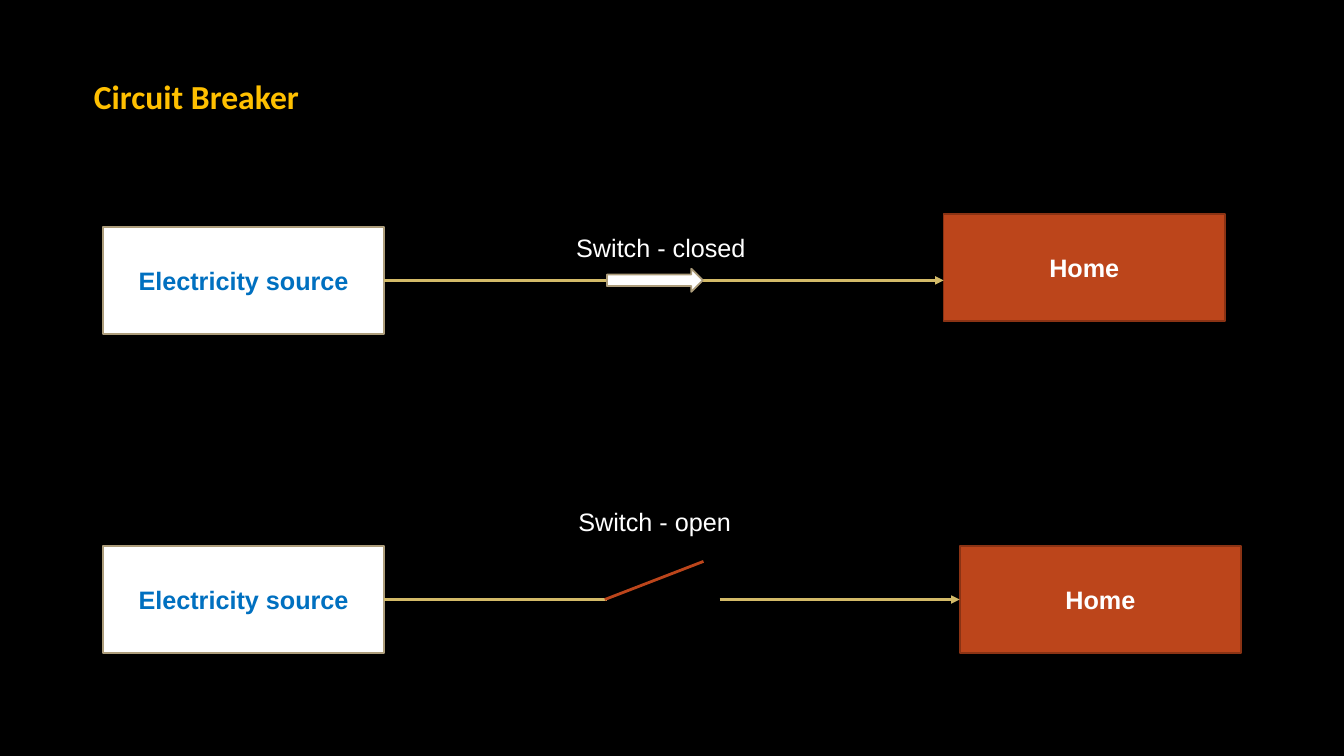
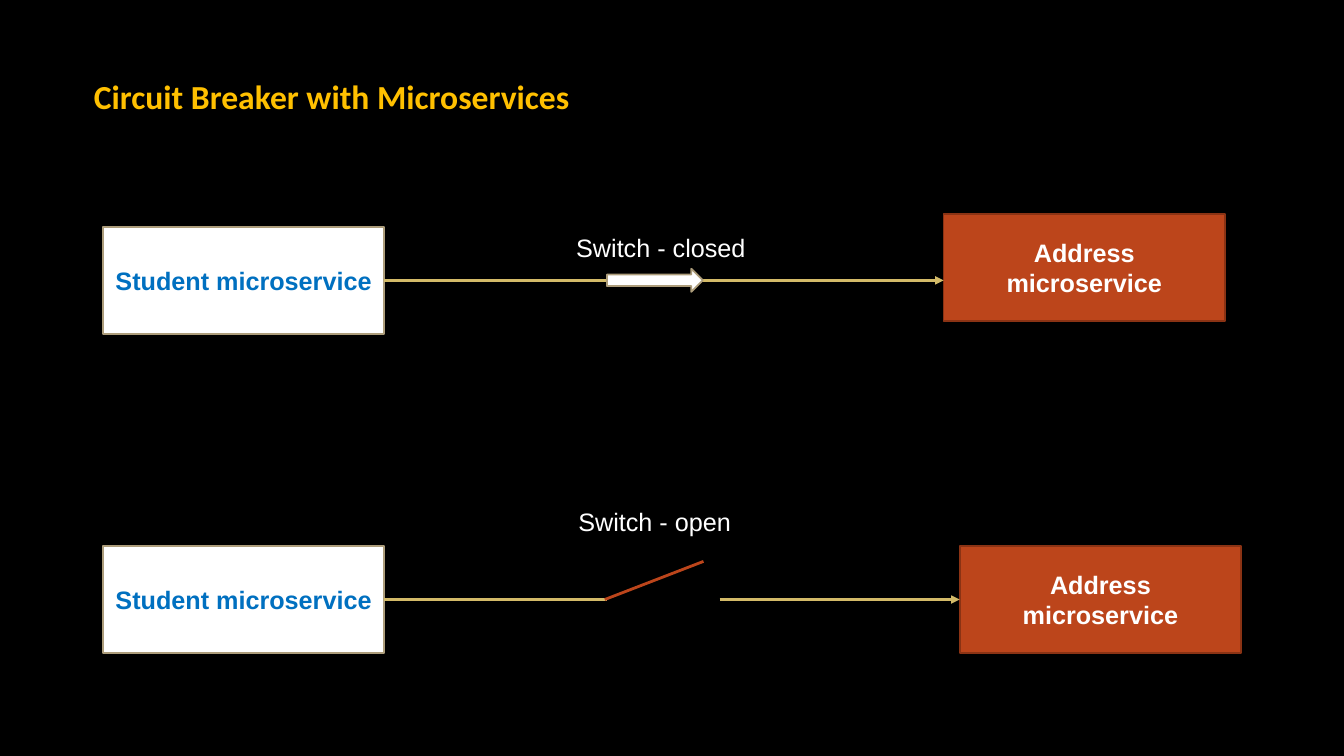
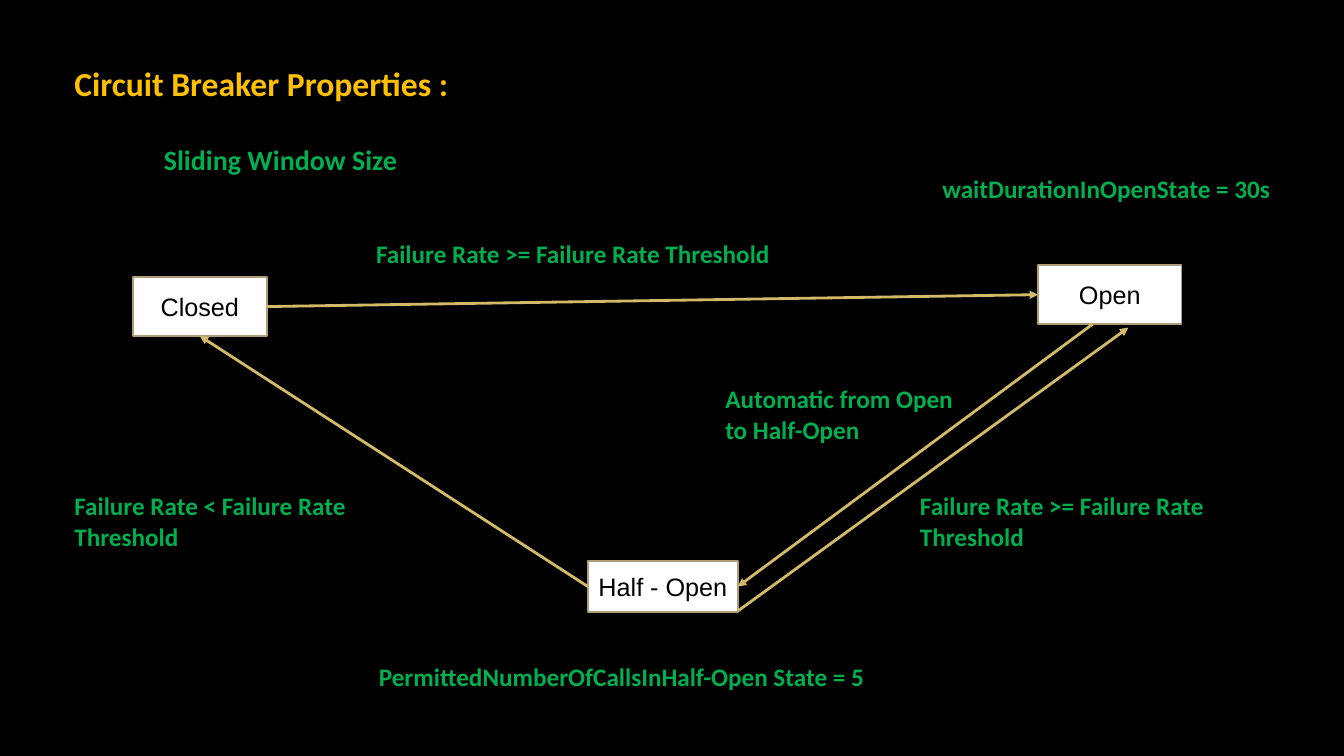
from lxml.etree import SubElement
from pptx import Presentation
from pptx.dml.color import RGBColor as RGB
from pptx.enum.shapes import MSO_CONNECTOR as Conn, MSO_SHAPE as Kind
from pptx.enum.text import MSO_ANCHOR as Anchor, MSO_AUTO_SIZE as Fit, PP_ALIGN as Align
from pptx.oxml.ns import qn
from pptx.shapes.autoshape import Shape
from pptx.util import Pt


class Theme:
    black, white = "000000", "FFFFFF"
    gold, blue, green = "FFC000", "0070C0", "00B050"
    wire, tan, rust, dark = "D3BA68", "AD9D7B", "BC451B", "8B3314"
    edge, stroke = 1.25, 2
    # font, size, colour, bold
    title = ("Calibri", 24, gold, True)
    head = ("Calibri", 20, green, True)
    note = ("Calibri", 18, green, True)
    label = ("Arial", 18, white, False)
    state = ("Arial", 18, black, False)
    source = ("Arial", 18, blue, True)
    target = ("Arial", 18, white, True)
    # fill, outline
    light = (white, tan)
    warm = (rust, dark)


TOP, LEFT, BOTTOM, RIGHT = range(4)

# title, source, target
CIRCUITS = [
    ("Circuit Breaker", "Electricity source", "Home"),
    ("Circuit Breaker with Microservices", "Student microservice", "Address microservice"),
]
BOX = (201, 76.5)

STATES = {
    "Closed": (95, 198, 95.5, 42),
    "Open": (741.5, 189.5, 102.5, 42),
    "Half - Open": (420, 401, 107, 36),
}
# start and end: a state with its side, or a point
MOVES = [
    (("Closed", RIGHT), ("Open", LEFT)),
    ((780.5, 231.5), ("Half - Open", RIGHT)),
    ((527, 436.5), (806, 234)),
    (("Half - Open", LEFT), ("Closed", BOTTOM)),
]
NOTES = [
    ("Sliding Window Size", (110, 98.5, 230, 31.5), Theme.head),
    ("Failure Rate >= Failure Rate Threshold", (261.5, 167, 386, 29), Theme.note),
    ("waitDurationInOpenState = 30s", (666, 120, 279, 29), Theme.note),
    ("Automatic from Open to Half-Open", (511, 270.5, 194.5, 51), Theme.note),
    ("PermittedNumberOfCallsInHalf-Open State = 5", (263.5, 469, 480, 29), Theme.note),
    ("Failure Rate >= Failure Rate Threshold", (650, 347, 261, 51), Theme.note),
    ("Failure Rate < Failure Rate Threshold", (46, 347, 217.5, 51), Theme.note),
]


def write(frame, words, style):
    frame.word_wrap = True
    frame.text = words
    font = frame.paragraphs[0].runs[0].font
    font.name, size, shade, font.bold = style
    font.size = Pt(size)
    font.color.rgb = RGB.from_string(shade)


def add_text(slide, words, area, style):
    frame = slide.shapes.add_textbox(*map(Pt, area)).text_frame
    write(frame, words, style)
    frame.auto_size = Fit.SHAPE_TO_FIT_TEXT


def add_box(slide, area, look, words="", style=None, kind=Kind.RECTANGLE):
    box = slide.shapes.add_shape(kind, *map(Pt, area))
    box.shadow.inherit = False
    fill, edge = look
    box.fill.solid()
    box.fill.fore_color.rgb = RGB.from_string(fill)
    box.line.color.rgb = RGB.from_string(edge)
    box.line.width = Pt(Theme.edge)
    if words:
        write(box.text_frame, words, style)
        box.text_frame.vertical_anchor = Anchor.MIDDLE
        box.text_frame.paragraphs[0].alignment = Align.CENTER
    return box


def add_wire(slide, start, end, arrow=True, shade=Theme.wire):
    """Draw a line; each end is a point or a (shape, side) pair."""
    wire = slide.shapes.add_connector(Conn.STRAIGHT, 0, 0, 0, 0)
    if isinstance(start[0], Shape):
        wire.begin_connect(*start)
    else:
        wire.begin_x, wire.begin_y = map(Pt, start)
    if isinstance(end[0], Shape):
        wire.end_connect(*end)
    else:
        wire.end_x, wire.end_y = map(Pt, end)
    wire.line.color.rgb = RGB.from_string(shade)
    wire.line.width = Pt(Theme.stroke)
    if arrow:
        SubElement(wire.line._get_or_add_ln(), qn("a:tailEnd"), type="triangle")
    SubElement(wire._element.spPr, qn("a:effectLst"))


def add_slide(deck, title, area):
    slide = deck.slides.add_slide(deck.slide_layouts[6])
    add_text(slide, title, area, Theme.title)
    return slide


def draw_circuit(deck, title, source, target):
    slide = add_slide(deck, title, (60, 51, 686, 36))

    def pair(top, goal):
        """Add a source box and its target box, whose corner is goal."""
        return (add_box(slide, (73.5, top, *BOX), Theme.light, source, Theme.source),
                add_box(slide, (*goal, *BOX), Theme.warm, target, Theme.target))

    top = 162
    mid = top + BOX[1] / 2
    first, _ = pair(top, (674, 153))
    add_wire(slide, (first, RIGHT), (674, mid))
    add_box(slide, (433.5, mid - 8.25, 68.5, 16.5), Theme.light, kind=Kind.RIGHT_ARROW)
    add_text(slide, "Switch - closed", (404.5, 162.5, 150, 29), Theme.label)

    top = 390
    mid = top + BOX[1] / 2
    first, last = pair(top, (685.5, top))
    add_wire(slide, (first, RIGHT), (433.5, mid), arrow=False)
    add_wire(slide, (432, mid), (502.5, 401), arrow=False, shade=Theme.rust)
    add_wire(slide, (514, mid), (last, LEFT))
    add_text(slide, "Switch - open", (406, 358, 480, 29), Theme.label)


def draw_states(deck):
    slide = add_slide(deck, "Circuit Breaker Properties :", (46, 41.5, 409, 36))
    boxes = {name: add_box(slide, area, Theme.light, name, Theme.state)
             for name, area in STATES.items()}
    for move in MOVES:
        add_wire(slide, *((boxes.get(a, a), b) for a, b in move))
    for note in NOTES:
        add_text(slide, *note)


def main():
    deck = Presentation()
    deck.slide_width, deck.slide_height = Pt(960), Pt(540)
    back = deck.slide_master.background.fill
    back.solid()
    back.fore_color.rgb = RGB.from_string(Theme.black)
    for circuit in CIRCUITS:
        draw_circuit(deck, *circuit)
    draw_states(deck)
    deck.save("out.pptx")


if __name__ == "__main__":
    main()
